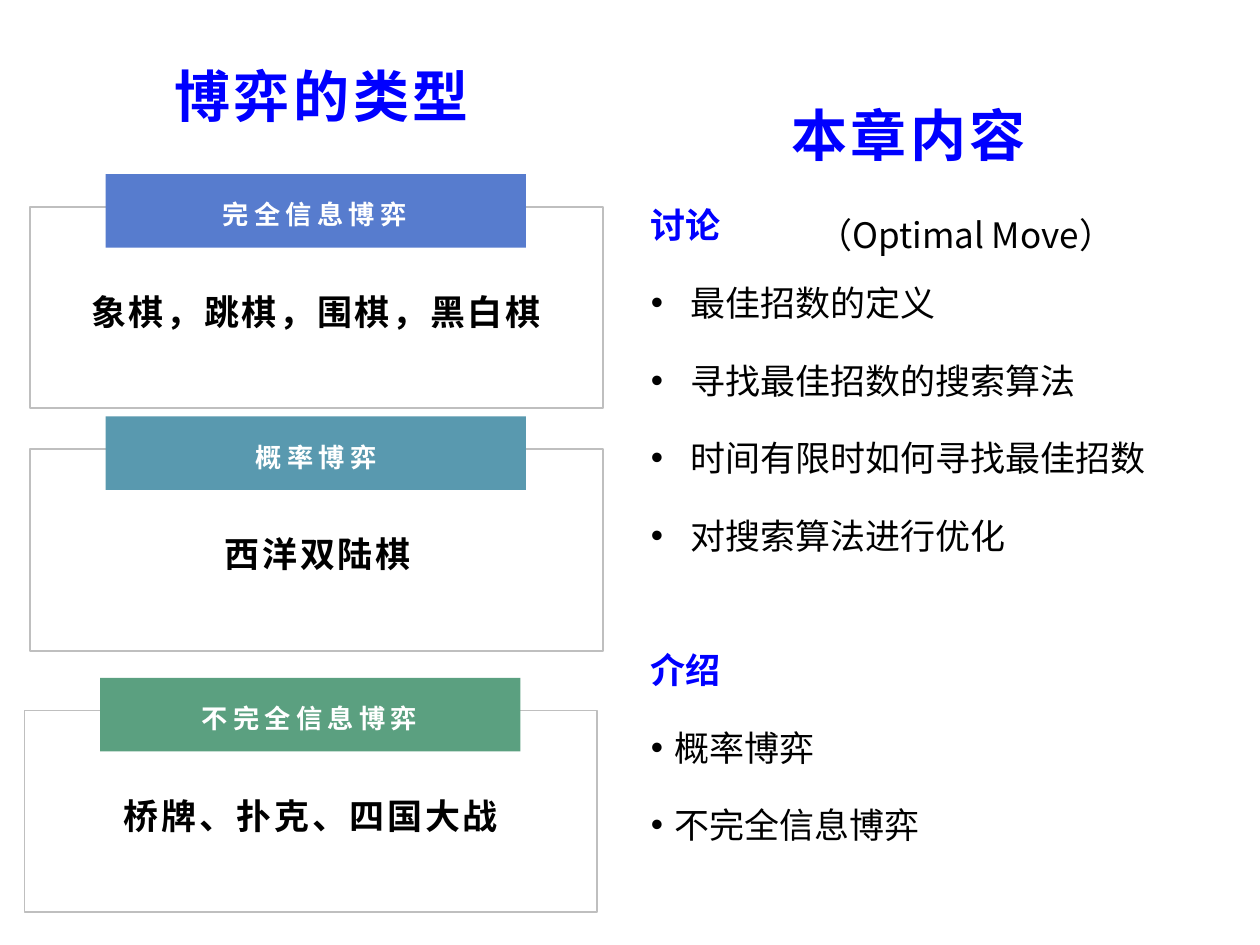
import pptx
import pptx.util
import pptx.dml.color
import pptx.enum.shapes
import pptx.enum.text
import pptx.oxml
import pptx.oxml.ns

Pt = pptx.util.Pt
RGBColor = pptx.dml.color.RGBColor
ANCHOR = pptx.enum.text.MSO_ANCHOR
CENTER = pptx.enum.text.PP_ALIGN.CENTER
LEFT = pptx.enum.text.PP_ALIGN.LEFT
RECTANGLE = pptx.enum.shapes.MSO_SHAPE.RECTANGLE

BLUE = RGBColor(0x00, 0x00, 0xFF)
BLACK = RGBColor(0x00, 0x00, 0x00)
WHITE = RGBColor(0xFF, 0xFF, 0xFF)
GREY = RGBColor(0xBF, 0xBF, 0xBF)
INDIGO = RGBColor(0x57, 0x7C, 0xCE)
TEAL = RGBColor(0x59, 0x99, 0xAF)
GREEN = RGBColor(0x5B, 0xA0, 0x80)

SANS = "Noto Sans CJK SC"
LIST_SIZE = 20
LIST_SPACING = 1.6
WIDE_INDENT, NARROW_INDENT = 22.5, 13.5

# Heading, games, colour, left and top of each frame, shift of its text
GAME_TYPES = [
    ("完全信息博弈", "象棋，跳棋，围棋，黑白棋", INDIGO, 17.2, 118.2, 0),
    ("概率博弈", "西洋双陆棋", TEAL, 17.2, 256.7, 1),
    ("不完全信息博弈", "桥牌、扑克、四国大战", GREEN, 14, 406.1, 0.3),
]

# Heading, space before it, indent of its bullets, bullets
CHAPTER_PARTS = [
    ("讨论", 6, WIDE_INDENT,
     ["最佳招数的定义", "寻找最佳招数的搜索算法",
      "时间有限时如何寻找最佳招数", "对搜索算法进行优化"]),
    ("介绍", 38, NARROW_INDENT, ["概率博弈", "不完全信息博弈"]),
]


def add_box(slide, left, top, width, height, anchor=ANCHOR.TOP):
    box = slide.shapes.add_textbox(Pt(left), Pt(top), Pt(width), Pt(height))
    frame = box.text_frame
    frame.word_wrap = True
    frame.vertical_anchor = anchor
    return frame


def add_rectangle(slide, left, top, width, height, fill=None, line=None):
    rectangle = slide.shapes.add_shape(
        RECTANGLE, Pt(left), Pt(top), Pt(width), Pt(height))
    rectangle.shadow.inherit = False
    if fill is None:
        rectangle.fill.background()
    else:
        rectangle.fill.solid()
        rectangle.fill.fore_color.rgb = fill
    if line is None:
        rectangle.line.fill.background()
    else:
        rectangle.line.color.rgb = line
        rectangle.line.width = Pt(1)


def write(paragraph, text, size, color, bold=False, font=SANS, tracking=0,
          align=LEFT, line_spacing=None, before=0):
    paragraph.alignment = align
    if line_spacing:
        paragraph.line_spacing = line_spacing
    if before:
        paragraph.space_before = Pt(before)
    run = paragraph.add_run()
    run.text = text
    run.font.size = Pt(size)
    run.font.bold = bold
    run.font.color.rgb = color
    run.font.name = font
    properties = run.font._element
    if tracking:
        properties.set("spc", str(int(tracking * 100)))
    east_asian = pptx.oxml.parse_xml(
        f'<a:ea {pptx.oxml.ns.nsdecls("a")} typeface="{SANS}"/>')
    properties.find(pptx.oxml.ns.qn("a:latin")).addnext(east_asian)


def add_bullet(paragraph, indent):
    properties = paragraph._p.get_or_add_pPr()
    properties.set("marL", str(Pt(indent)))
    properties.set("indent", str(-Pt(indent)))
    for tag in ('buFont typeface="Arial"', 'buChar char="•"'):
        properties.append(pptx.oxml.parse_xml(
            f'<a:{tag} {pptx.oxml.ns.nsdecls("a")}/>'))


def add_title(slide, left, top, width, height):
    frame = add_box(slide, left, top, width, height, ANCHOR.MIDDLE)
    write(frame.paragraphs[0], "博弈的类型", 32, BLUE, True,
          tracking=2, align=CENTER)


def add_game_type(slide, heading, games, color, shift, left, top, width, height):
    # Frame with a banner across its upper edge
    add_rectangle(slide, left, top, width, height, line=GREY)
    add_rectangle(slide, left + 43.2, top - 18.7, width - 87, 42, fill=color)
    label = add_box(slide, left + shift + 47.8, top - 18.8, width - 97.6, 42.5,
                    ANCHOR.MIDDLE)
    write(label.paragraphs[0], heading, 15, WHITE, True, "Arial",
          tracking=3, align=CENTER, line_spacing=1.2)
    # Games of this type
    body = add_box(slide, left + shift + 13.3, top + 37.8, width - 27, 67.7)
    body.margin_left = body.margin_right = Pt(5)
    body.margin_top = body.margin_bottom = Pt(2.9)
    write(body.paragraphs[0], games, 20, BLACK, True, "Arial",
          tracking=1.5, align=CENTER, line_spacing=1.3)


def add_chapter(slide, left, top, width, height):
    frame = add_box(slide, left, top, width, height)
    write(frame.paragraphs[0], "本章内容", 32, BLUE, True,
          tracking=2, align=CENTER)
    for heading, before, indent, topics in CHAPTER_PARTS:
        write(frame.add_paragraph(), heading, LIST_SIZE, BLUE, True,
              line_spacing=LIST_SPACING, before=before)
        for topic in topics:
            paragraph = frame.add_paragraph()
            add_bullet(paragraph, indent)
            write(paragraph, topic, LIST_SIZE, BLACK,
                  line_spacing=LIST_SPACING, before=6)
    # English term beside the first heading
    term = add_box(slide, left + 95, top + 64.3, 231, 31.7)
    write(term.paragraphs[0], "（Optimal Move）", LIST_SIZE, BLACK)


def main():
    deck = pptx.Presentation()
    deck.slide_width, deck.slide_height = Pt(720), Pt(540)
    slide = deck.slides.add_slide(deck.slide_layouts[6])
    add_title(slide, 23.6, 9.4, 320.4, 90)
    for heading, games, color, left, top, shift in GAME_TYPES:
        add_game_type(slide, heading, games, color, shift,
                      left, top, 327.2, 115.2)
    add_chapter(slide, 364.8, 54, 308.9, 432.7)
    deck.save("out.pptx")


if __name__ == "__main__":
    main()
